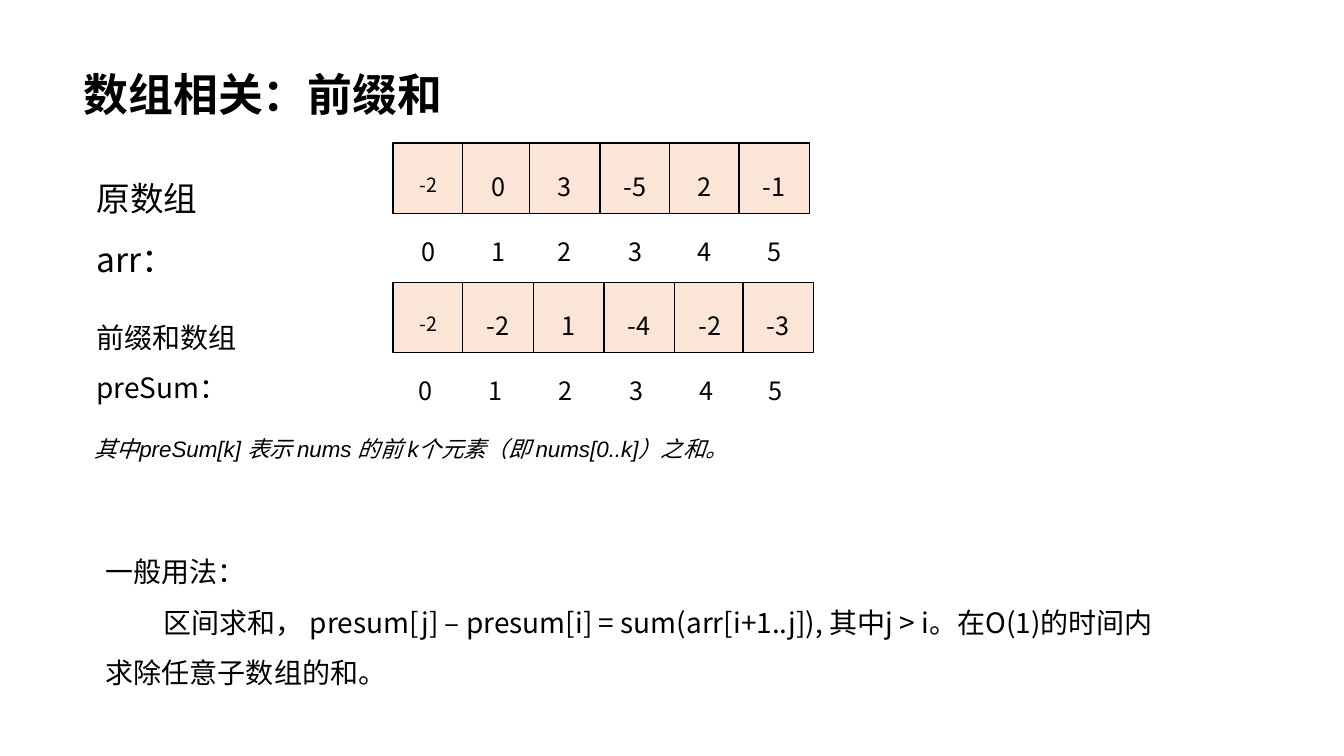
from dataclasses import dataclass

from pptx import Presentation
from pptx import util as u
from pptx.dml.color import RGBColor
from pptx.enum import shapes, text
from pptx.oxml.ns import qn
from lxml import etree


@dataclass(frozen=True)
class Theme:
    ink: str = "000000"
    cell: str = "FBE5D6"
    paper: str = "FFFFFF"
    font: str = "Noto Sans CJK SC"
    latin: str = "Arial"
    body: str = "Calibri"
    title: int = 32
    label: int = 24
    usage: int = 20
    value: int = 18
    note: int = 16
    small: int = 14


THEME = Theme()


def place(shape, left, top, width, height):
    shape.left, shape.top = u.Inches(left), u.Inches(top)
    shape.width, shape.height = u.Inches(width), u.Inches(height)


def write(paragraph, content, size, font=THEME.font, bold=False, italic=False,
          align=text.PP_ALIGN.LEFT, indent=0):
    """Append a formatted run to a paragraph with 1.5 line spacing."""
    paragraph.alignment = align
    paragraph.line_spacing = 1.5
    paragraph.space_before = u.Pt(0)
    if indent:
        paragraph._p.get_or_add_pPr().set("indent", str(u.Inches(indent)))
    run = paragraph.add_run()
    run.text = content
    run.font.size = u.Pt(size)
    run.font.name = font
    run.font.bold, run.font.italic = bold, italic
    run.font.color.rgb = RGBColor.from_string(THEME.ink)
    east_asian = etree.Element(qn("a:ea"), typeface=THEME.font)
    run._r.rPr.find(qn("a:latin")).addnext(east_asian)


def add_textbox(slide, box):
    shape = slide.shapes.add_textbox(*map(u.Inches, box))
    shape.text_frame.word_wrap = True
    return shape.text_frame.paragraphs[0]


def add_rectangle(slide, box, fill, outlined):
    shape = slide.shapes.add_shape(shapes.MSO_SHAPE.RECTANGLE, *map(u.Inches, box))
    shape.shadow.inherit = False
    shape.fill.solid()
    shape.fill.fore_color.rgb = RGBColor.from_string(fill)
    if outlined:
        shape.line.color.rgb = RGBColor.from_string(THEME.ink)
        shape.line.width = u.Pt(1)
    else:
        shape.line.fill.background()
    shape.text_frame.vertical_anchor = text.MSO_ANCHOR.MIDDLE
    shape.text_frame.word_wrap = True
    return shape.text_frame.paragraphs[0]


def add_title(slide, box):
    title = slide.shapes.title
    place(title, *box)
    title.text_frame.vertical_anchor = text.MSO_ANCHOR.TOP
    title.text_frame.auto_size = text.MSO_AUTO_SIZE.NONE
    write(title.text_frame.paragraphs[0], "数组相关：前缀和", THEME.title, bold=True)


def add_array(slide, top, lefts, values, index_offset):
    """Draw a row of value cells with their indices underneath."""
    side = 0.7
    for index, (left, value) in enumerate(zip(lefts, values)):
        size = THEME.value if index else THEME.small
        cell = add_rectangle(slide, (left, top, side, side), THEME.cell, True)
        write(cell, str(value), size, align=text.PP_ALIGN.CENTER)
        number = add_textbox(slide, (left + index_offset, top + 0.72, 0.34, 0.51))
        write(number, str(index), THEME.value, align=text.PP_ALIGN.CENTER)


def add_note(slide, box):
    note = add_rectangle(slide, box, THEME.paper, False)
    write(note, "其中preSum[k]\u00a0表示\u00a0nums\u00a0的前\u00a0k个元素（即\u00a0nums[0..k]）之和。",
          THEME.note, font=THEME.latin, italic=True)


def add_usage(slide, box):
    heading = add_textbox(slide, box)
    write(heading, "一般用法：", THEME.usage, font=THEME.body)
    detail = heading._parent.add_paragraph()
    write(detail, "区间求和，", THEME.usage, font=THEME.body, indent=0.57)
    write(detail, " presum[j] – presum[i] = sum(arr[i+1..j]), 其中j > i。"
          "在O(1)的时间内求除任意子数组的和。", THEME.usage, indent=0.57)


def main():
    presentation = Presentation()
    presentation.slide_width = u.Inches(13.33)
    presentation.slide_height = u.Inches(7.5)
    slide = presentation.slides.add_slide(presentation.slide_layouts[5])

    add_title(slide, (0.73, 0.35, 3.79, 0.83))

    # Source array and its prefix sums
    add_array(slide, 1.42, (3.9, 4.59, 5.25, 5.95, 6.64, 7.33),
              (-2, 0, 3, -5, 2, -1), 0.18)
    write(add_textbox(slide, (0.86, 1.52, 1.94, 0.65)), "原数组arr：", THEME.label)
    write(add_textbox(slide, (0.86, 2.96, 2.2, 0.55)), "前缀和数组preSum：", THEME.usage)
    add_note(slide, (0.84, 4.15, 6.53, 0.46))
    add_array(slide, 2.8, (3.9, 4.59, 5.29, 5.99, 6.69, 7.37),
              (-2, -2, 1, -4, -2, -3), 0.15)

    # How prefix sums are used
    add_usage(slide, (0.95, 5.29, 10.69, 2.07))

    presentation.save("out.pptx")


if __name__ == "__main__":
    main()
